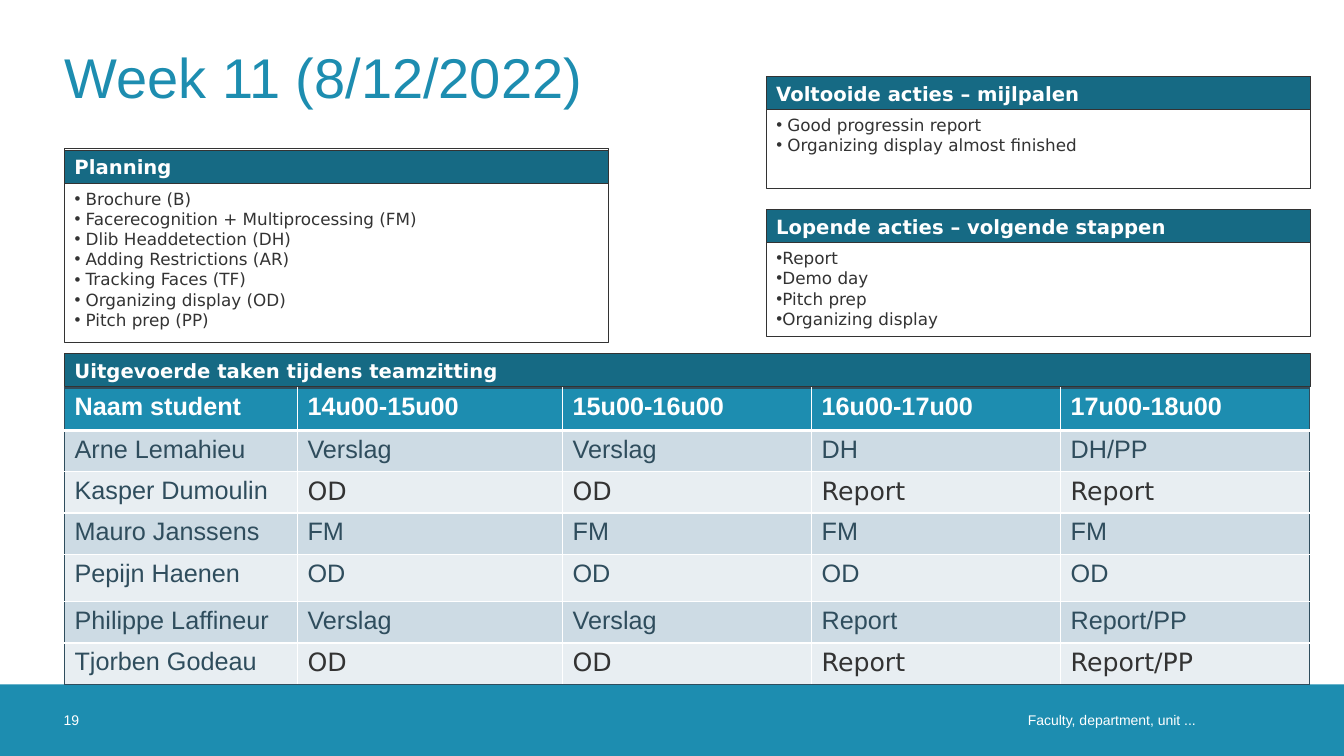
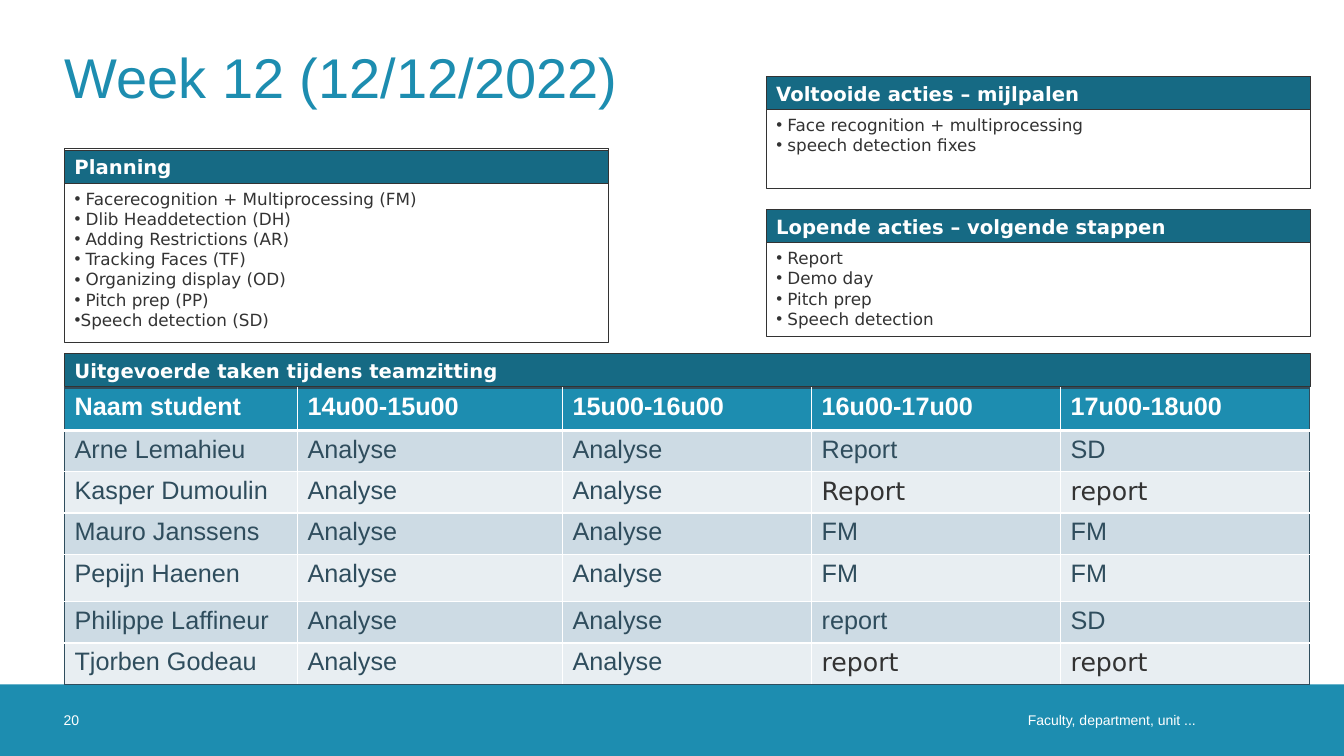
from lxml import etree
from pptx import Presentation
from pptx.dml.color import RGBColor
from pptx.enum.shapes import MSO_SHAPE
from pptx.enum.text import MSO_ANCHOR, MSO_AUTO_SIZE, PP_ALIGN
from pptx.oxml.ns import qn
from pptx.util import Inches, Pt

RECT = MSO_SHAPE.RECTANGLE
TOP, MID = MSO_ANCHOR.TOP, MSO_ANCHOR.MIDDLE
LEFT, RIGHT = PP_ALIGN.LEFT, PP_ALIGN.RIGHT
FIXED = MSO_AUTO_SIZE.NONE

SANS, WIDE = "Arial", "DejaVu Sans"
BLUE, DEEP, SLATE, INK, WHITE = "1D8DB0", "166A84", "2F4D5D", "333333", "FFFFFF"
BANDS = ("CDDBE4", "E8EEF2")
EDGE, HALF, FULL, BAR = 0.64, 5.4, 12.36, 0.33
SIDE = EDGE + FULL - HALF
COLS = (2.31, 2.63, 2.47, 2.47, 2.47)
ROWS = (0.42, 0.41, 0.41, 0.41, 0.47, 0.41, 0.41)
HEAD = ("Naam student", "14u00-15u00", "15u00-16u00", "16u00-17u00", "17u00-18u00")
NAMES = ("Arne Lemahieu", "Kasper Dumoulin", "Mauro Janssens",
         "Pepijn Haenen", "Philippe Laffineur", "Tjorben Godeau")
WIDE_ROWS = (2, 6)

WEEKS = (
    {
        "page": 19,
        "title": "Week 11 (8/12/2022)",
        "plan": ("Brochure (B)", "Facerecognition + Multiprocessing (FM)",
                 "Dlib Headdetection (DH)", "Adding Restrictions (AR)",
                 "Tracking Faces (TF)", "Organizing display (OD)", "Pitch prep (PP)"),
        "done": ("Good progressin report", "Organizing display almost finished"),
        "next": ("Report", "Demo day", "Pitch prep", "Organizing display"),
        "tight": ("Report", "Demo day", "Pitch prep", "Organizing display"),
        "wide_from": 1,
        "tasks": (("Verslag", "Verslag", "DH", "DH/PP"),
                  ("OD", "OD", "Report", "Report"),
                  ("FM",) * 4,
                  ("OD",) * 4,
                  ("Verslag", "Verslag", "Report", "Report/PP"),
                  ("OD", "OD", "Report", "Report/PP")),
    },
    {
        "page": 20,
        "title": "Week 12 (12/12/2022)",
        "plan": ("Facerecognition + Multiprocessing (FM)", "Dlib Headdetection (DH)",
                 "Adding Restrictions (AR)", "Tracking Faces (TF)",
                 "Organizing display (OD)", "Pitch prep (PP)", "Speech detection (SD)"),
        "done": ("Face recognition + multiprocessing", "speech detection fixes"),
        "next": ("Report", "Demo day", "Pitch prep", "Speech detection"),
        "tight": ("Speech detection (SD)",),
        "wide_from": 3,
        "tasks": [("Analyse", "Analyse") + pair for pair in (
            ("Report", "SD"), ("Report", "report"), ("FM", "FM"),
            ("FM", "FM"), ("report", "SD"), ("report", "report"))],
    },
)


def rgb(code):
    """Turn a hex string into a colour."""
    return RGBColor.from_string(code)


class Deck:
    """Hold the style and the current slide."""

    def __init__(self):
        """Start an empty wide deck."""
        self.prs = Presentation()
        self.prs.slide_width, self.prs.slide_height = Inches(13.33), Inches(7.5)
        self.slide = None
        self.holds = []

    def place(self, shape, left, top, width, height):
        """Move and size a shape."""
        shape.left, shape.top = Inches(left), Inches(top)
        shape.width, shape.height = Inches(width), Inches(height)

    def frame(self, shape, anchor, pad=None, right=0):
        """Set wrapping, anchor and margins of a shape's text."""
        frame = shape.text_frame
        frame.word_wrap, frame.auto_size = True, FIXED
        frame.vertical_anchor = anchor
        if pad is not None:
            frame.margin_left = frame.margin_top = frame.margin_bottom = Inches(pad)
            frame.margin_right = Inches(right)
        return frame

    def say(self, para, text, size, color, font=SANS, bold=False, align=LEFT):
        """Add one styled run to a paragraph."""
        para.alignment = align
        run = para.add_run()
        run.text = text
        run.font.name, run.font.size, run.font.bold = font, Pt(size), bold
        run.font.color.rgb = rgb(color)

    def box(self, left, top, width, height, fill=None, line=INK):
        """Draw a flat rectangle."""
        shape = self.slide.shapes.add_shape(
            RECT, Inches(left), Inches(top), Inches(width), Inches(height))
        shape.shadow.inherit = False
        if fill:
            shape.fill.solid()
            shape.fill.fore_color.rgb = rgb(fill)
        else:
            shape.fill.background()
        if line:
            shape.line.color.rgb, shape.line.width = rgb(line), Pt(0.75)
        else:
            shape.line.fill.background()
        return shape

    def label(self, text, left, width, align=LEFT, right=0):
        """Put small text on the footer band."""
        shape = self.slide.shapes.add_textbox(
            Inches(left), Inches(6.79), Inches(width), Inches(0.71))
        frame = self.frame(shape, MID, 0, right)
        self.say(frame.paragraphs[0], text, 10, WHITE, align=align)

    def start(self, title, page):
        """Begin a slide with title and footer."""
        self.slide = self.prs.slides.add_slide(
            self.prs.slide_layouts.get_by_name("Comparison"))
        self.holds = list(self.slide.placeholders)[1:]
        self.box(0, 6.79, 13.33, 0.71, BLUE, None)
        self.label("Faculty, department, unit ...", 6.6, 5.46, RIGHT, 0.2)
        self.label(str(page), 0.63, 0.71)
        head = self.slide.shapes.title
        self.place(head, EDGE, 0.13, 12.07, 1.26)
        self.say(self.frame(head, MID, 0).paragraphs[0], title, 40, BLUE)

    def bar(self, text, left, top, width):
        """Draw a dark heading bar."""
        frame = self.frame(self.box(left, top, width, BAR, DEEP), MID)
        self.say(frame.paragraphs[0], text, 14, WHITE, WIDE, True)

    def bullets(self, items, tight, left, top, height):
        """Fill the next body placeholder with a list."""
        hold = self.holds.pop(0)
        self.place(hold, left, top, HALF, height)
        frame = self.frame(hold, TOP)
        for i, item in enumerate(items):
            para = frame.add_paragraph() if i else frame.paragraphs[0]
            self.say(para, item, 12, INK, WIDE)
            para.space_before = para.space_after = Pt(0)
            para.line_spacing = Pt(14.4)
            gap = Inches(0.06 if item in tight else 0.11)
            props = para._p.get_or_add_pPr()
            props.set("marL", str(gap))
            props.set("indent", str(-gap))
            etree.SubElement(props, qn("a:buChar")).set("char", "•")

    def panel(self, text, items, tight, left, top, height, lift=0):
        """Draw a framed list under a heading bar."""
        self.box(left, top - lift, HALF, height + lift)
        self.bar(text, left, top, HALF)
        self.bullets(items, tight, left, top + BAR, height - BAR)

    def border(self, cell, side, color, width):
        """Draw one edge of a cell."""
        line = etree.SubElement(cell._tc.get_or_add_tcPr(), qn("a:ln" + side))
        line.set("w", str(Pt(width)))
        fill = etree.SubElement(line, qn("a:solidFill"))
        etree.SubElement(fill, qn("a:srgbClr")).set("val", color)

    def cell(self, cell, text, row, col, wide):
        """Style and fill one cell by its place in the grid."""
        last = len(ROWS) - 1
        outer = {"L": col == 0, "R": col == len(COLS) - 1,
                 "T": row == 0, "B": row == last}
        for side, dark in outer.items():
            thick = (row, side) in ((0, "B"), (1, "T"))
            self.border(cell, side, SLATE if dark else WHITE, 3 if thick else 1)
        cell.fill.solid()
        cell.fill.fore_color.rgb = rgb(BANDS[(row - 1) % 2] if row else BLUE)
        color = INK if wide else SLATE if row else WHITE
        self.say(cell.text_frame.paragraphs[0], text, 18, color,
                 WIDE if wide else SANS, row == 0)

    def table(self, tasks, wide_from):
        """Draw the task table of a week."""
        grid = self.slide.shapes.add_table(
            len(ROWS), len(COLS), Inches(EDGE), Inches(3.85),
            Inches(FULL), Inches(sum(ROWS))).table
        grid.horz_banding = False
        for col, width in zip(grid.columns, COLS):
            col.width = Inches(width)
        for row, height in zip(grid.rows, ROWS):
            row.height = Inches(height)
        lines = [HEAD] + [(name, *work) for name, work in zip(NAMES, tasks)]
        for r, line in enumerate(lines):
            for c, text in enumerate(line):
                wide = r in WIDE_ROWS and c >= wide_from
                self.cell(grid.cell(r, c), text, r, c, wide)

    def prune(self):
        """Drop the placeholders left empty."""
        for hold in self.holds:
            hold.element.getparent().remove(hold.element)


def main():
    """Build a slide for each week."""
    deck = Deck()
    for week in WEEKS:
        tight = week["tight"]
        deck.start(week["title"], week["page"])
        deck.panel("Planning", week["plan"], tight, EDGE, 1.49, 1.91, 0.02)
        deck.table(week["tasks"], week["wide_from"])
        deck.bar("Uitgevoerde taken tijdens teamzitting", EDGE, 3.51, FULL)
        deck.panel("Voltooide acties – mijlpalen", week["done"], tight,
                   SIDE, 0.76, 1.11)
        deck.panel("Lopende acties – volgende stappen", week["next"], tight,
                   SIDE, 2.08, 1.26)
        deck.prune()
    deck.prs.save("out.pptx")


if __name__ == "__main__":
    main()
